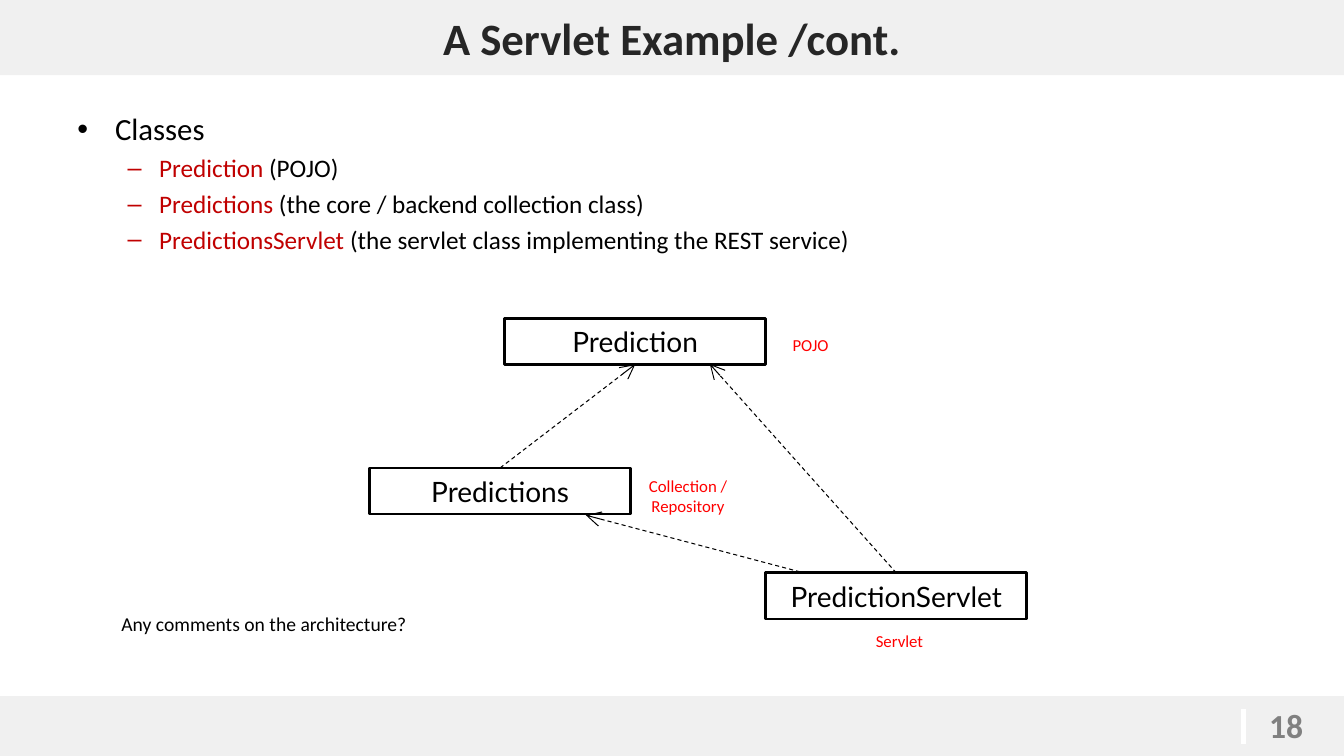
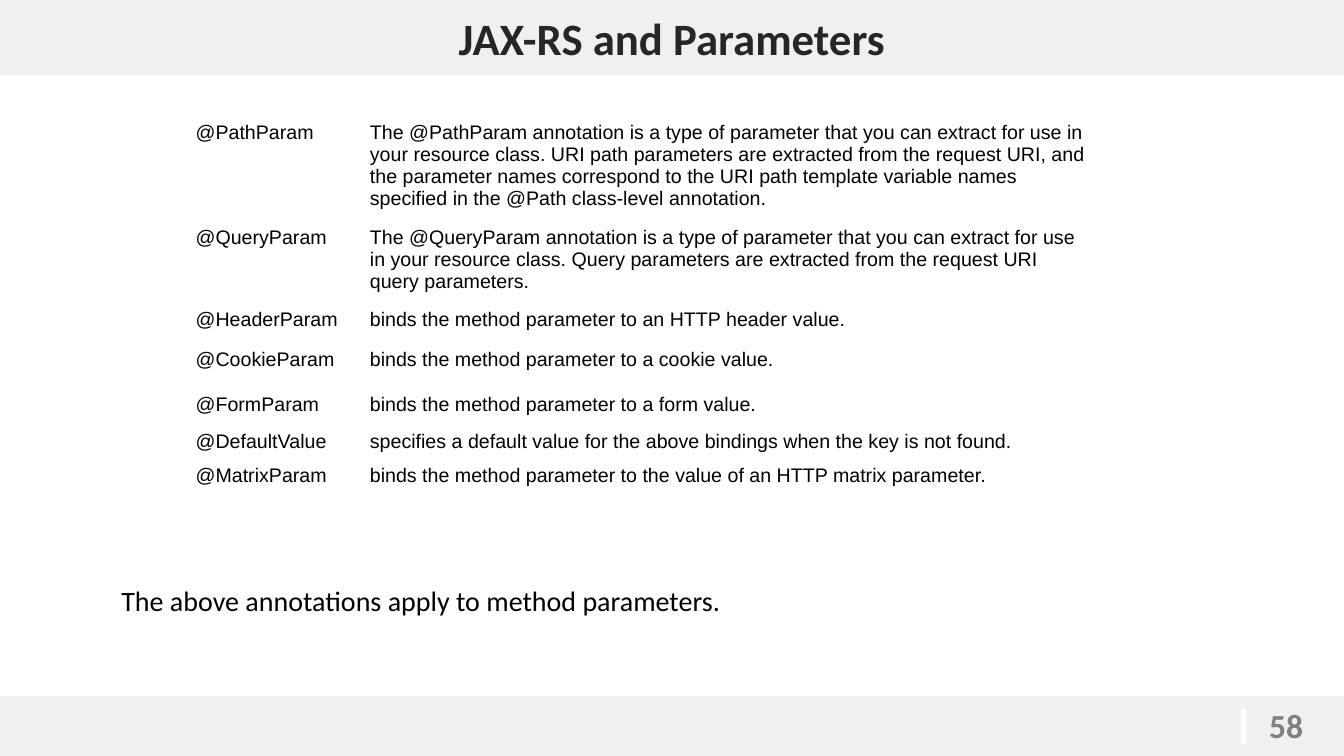
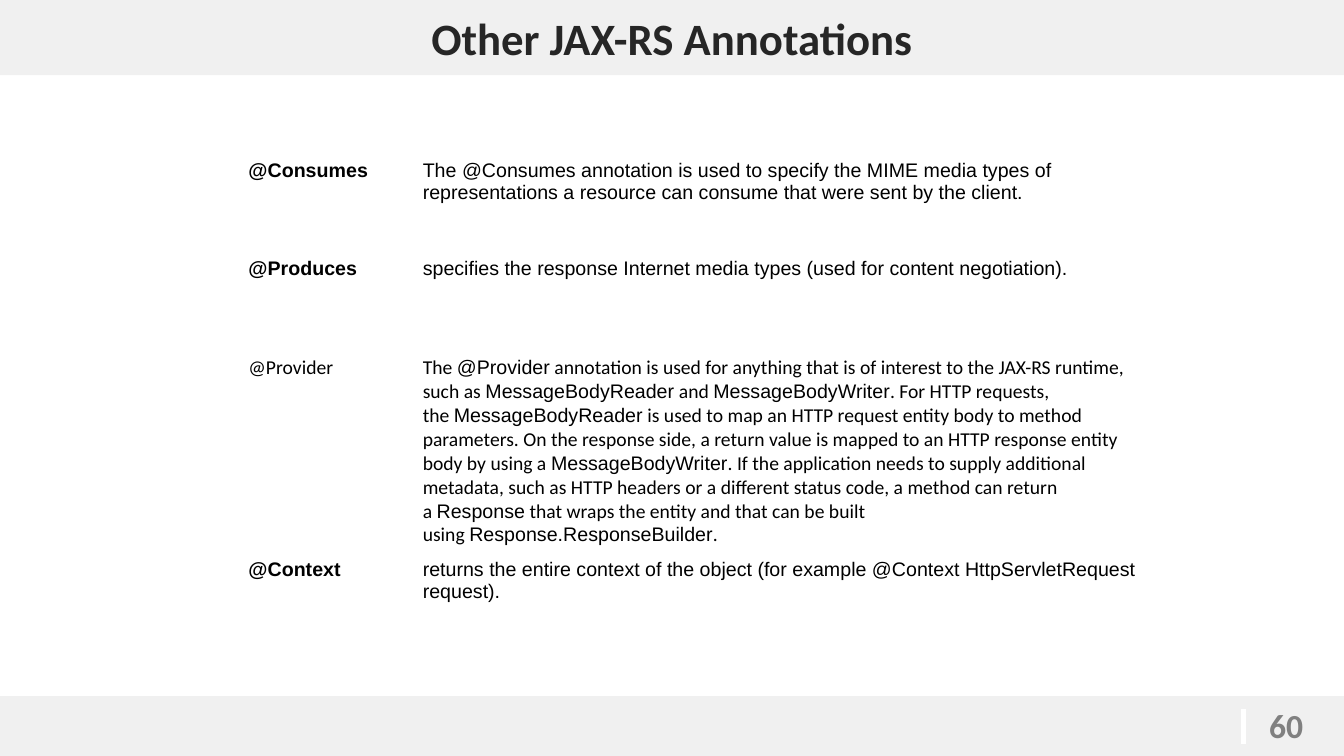
from dataclasses import dataclass

from lxml.etree import SubElement
from pptx import Presentation
from pptx.dml.color import RGBColor
from pptx.enum.dml import MSO_LINE
from pptx.enum.shapes import MSO_CONNECTOR, MSO_SHAPE
from pptx.enum.text import MSO_ANCHOR, MSO_AUTO_SIZE, PP_ALIGN
from pptx.oxml.ns import qn
from pptx.util import Pt


@dataclass(frozen=True)
class Theme:
    # colours
    band: str = "F0F0F0"
    head: str = "262626"
    ink: str = "000000"
    page: str = "808080"
    term: str = "C00000"
    tag: str = "FF0000"
    white: str = "FFFFFF"
    # fonts
    main: str = "Calibri"
    code: str = "Arial"
    node: str = "Lato"
    # type sizes
    title: int = 32
    num: int = 24
    item: int = 22
    sub: int = 18
    box: int = 20
    cell: int = 14
    label: int = 12


T = Theme()
WIDE, HIGH = 960, 540
BODY = (48, 77.75, 864, 404.5)
PANEL = (31, 73.5, 898, 406)

# Content: slide with classes
TERMS = [
    ("Prediction", " (POJO)"),
    ("Predictions", " (the core / backend collection class)"),
    ("PredictionsServlet", " (the servlet class implementing the REST service)"),
]
ASK = "Any comments on the architecture?"
BOX = (186.5, 33)
NODES = {
    "Prediction": (360.5, 227.25),
    "Predictions": (264, 334.25),
    "PredictionServlet": (547, 409.25),
}
# An end is a (node, site) pair or a free (x, y) point
ARROWS = [
    (("Predictions", 0), ("Prediction", 2)),
    (("PredictionServlet", 0), (507, 260)),
    ((571.5, 408.5), (418.5, 368)),
]
TAGS = [
    ("POJO", (547, 235.5, 64, 16)),
    ("Collection / Repository", (450, 336, 83, 27)),
    ("Servlet", (601, 447, 83, 16)),
]

# Content: tables, as (name, text, row height)
# Backticks enclose the code font, a tilde is a no-break space
COLS = (124.5, 521.5)
PARAMS = [
    ("@PathParam", "The~@PathParam~annotation is a type of parameter that you can extract "
     "for use in your resource class. URI path parameters are extracted from the request "
     "URI, and the parameter names correspond to the URI path template variable names "
     "specified in the~@Path~class-level annotation.", 71.5),
    ("@QueryParam", "The~@QueryParam~annotation is a type of parameter that you can extract "
     "for use in your resource class. Query parameters are extracted from the request URI "
     "query parameters.", 56.5),
    ("@HeaderParam", "binds the method parameter to an HTTP header value.", 28.5),
    ("@CookieParam", "binds the method parameter to a cookie value.", 32),
    ("@FormParam", "binds the method parameter to a form value.", 26.5),
    ("@DefaultValue", "specifies a default value for the above bindings when the key "
     "is not found.", 24.5),
    ("@MatrixParam", "binds the method parameter to the value of an HTTP matrix "
     "parameter.", 30),
]
APPLY = "The above annotations apply to method parameters."
OTHERS = [
    ("@Consumes", "The~@Consumes~annotation is used to specify the MIME media types of "
     "representations a resource can consume that were sent by the client.", 70.25),
    ("@Produces", "specifies the response Internet media types (used for content "
     "negotiation).", 70.25),
    ("@Provider", "The~`@Provider`~annotation is used for anything that is of interest to "
     "the JAX-RS runtime, such as~`MessageBodyReader`~and~`MessageBodyWriter`. For HTTP "
     "requests, the~`MessageBodyReader`~is used to map an HTTP request entity body to "
     "method parameters. On the response side, a return value is mapped to an HTTP "
     "response entity body by using a~`MessageBodyWriter`. If the application needs to "
     "supply additional metadata, such as HTTP headers or a different status code, a "
     "method can return a~`Response`~that wraps the entity and that can be built "
     "using~`Response.ResponseBuilder`.", 144.5),
    ("@Context", "returns the entire context of the object (for example @Context "
     "HttpServletRequest request).", 70.25),
]


# Helpers
def pts(*vals):
    return [Pt(v) for v in vals]


def rgb(code):
    return RGBColor.from_string(code)


def style(run, size, color=T.ink, font=T.main, bold=False):
    run.font.size, run.font.name, run.font.bold = Pt(size), font, bold
    run.font.color.rgb = rgb(color)


def write(par, text, *look, **more):
    run = par.add_run()
    run.text = text
    style(run, *look, **more)


def place(shape, area):
    shape.left, shape.top, shape.width, shape.height = pts(*area)


def paint(shape, color):
    shape.fill.solid()
    shape.fill.fore_color.rgb = rgb(color)


def rect(slide, area):
    shape = slide.shapes.add_shape(MSO_SHAPE.RECTANGLE, *pts(*area))
    shape.shadow.inherit = False
    return shape


def plate(slide, area, color):
    shape = rect(slide, area)
    paint(shape, color)
    shape.line.fill.background()
    return shape


def line(slide, start, end, color, width):
    link = slide.shapes.add_connector(MSO_CONNECTOR.STRAIGHT, *pts(*start, *end))
    link.line.color.rgb, link.line.width = rgb(color), Pt(width)
    SubElement(link.element.spPr, qn("a:effectLst"))
    return link


def label(slide, text, area, *look, align=PP_ALIGN.CENTER, **more):
    frame = slide.shapes.add_textbox(*pts(*area)).text_frame
    frame.word_wrap = True
    par = frame.paragraphs[0]
    par.alignment = align
    write(par, text, *look, **more)


# Shared frame: panel, title band, footer band, page number
def start(deck, layout, title, page):
    slide = deck.slides.add_slide(deck.slide_layouts[layout])
    panel = plate(slide, PANEL, T.white).element
    tint = next(panel.iter(qn("a:srgbClr")))
    SubElement(tint, qn("a:alpha"), val="84000")
    slide.shapes.title.element.addprevious(panel)
    head = slide.shapes.title
    place(head, (0, 0, WIDE, 53.75))
    paint(head, T.band)
    head.text_frame.text = title
    head.text_frame.auto_size = MSO_AUTO_SIZE.NONE
    style(head.text_frame.paragraphs[0].runs[0], T.title, T.head, bold=True)
    plate(slide, (0, 497.25, WIDE, 42.75), T.band)
    line(slide, (888.25, 506.25), (888.25, 531.5), T.white, 3)
    label(slide, str(page), (899.5, 500.25, 58, 36), T.num, T.page,
          align=PP_ALIGN.LEFT, bold=True)
    return slide


def body(slide, area):
    shape = slide.placeholders[1]
    place(shape, area)
    shape.text_frame.auto_size = MSO_AUTO_SIZE.NONE
    return shape.text_frame


def note(par, text, size):
    par.level = 1
    props = par._p.get_or_add_pPr()
    props.set("marL", str(Pt(31.5)))
    props.set("indent", "0")
    SubElement(props, qn("a:buNone"))
    write(par, text, size)


def grid(slide, rows, left, top, bold=False):
    high = sum(row[2] for row in rows)
    area = pts(left, top, sum(COLS), high)
    table = slide.shapes.add_table(len(rows), len(COLS), *area).table
    table.first_row = table.horz_banding = False
    for col, wide in zip(table.columns, COLS):
        col.width = Pt(wide)
    for row, (name, text, tall) in zip(table.rows, rows):
        row.height = Pt(tall)
        mixed = "`" in text
        base = T.main if mixed else T.code
        text = text.replace("~", chr(160))
        for cell, words, heavy in zip(row.cells, (name, text), (bold and not mixed, False)):
            cell.fill.background()
            cell.margin_left = cell.margin_right = Pt(4.5)
            cell.margin_top = cell.margin_bottom = Pt(4)
            par = cell.text_frame.paragraphs[0]
            for k, part in enumerate(words.split("`")):
                write(par, part, T.cell, font=T.code if k % 2 else base, bold=heavy)


# Class diagram
def diagram(slide):
    nodes = {}
    for name, spot in NODES.items():
        node = nodes[name] = rect(slide, spot + BOX)
        node.fill.background()
        node.line.color.rgb, node.line.width = rgb(T.ink), Pt(2)
        frame = node.text_frame
        frame.vertical_anchor = MSO_ANCHOR.MIDDLE
        frame.paragraphs[0].alignment = PP_ALIGN.CENTER
        write(frame.paragraphs[0], name, T.box, font=T.node)
    for ends in ARROWS:
        free = [(0, 0) if end[0] in nodes else end for end in ends]
        link = line(slide, *free, T.ink, 0.75)
        link.line.dash_style = MSO_LINE.DASH
        SubElement(link.line._get_or_add_ln(), qn("a:tailEnd"),
                   type="arrow", w="lg", len="lg")
        for end, join in zip(ends, (link.begin_connect, link.end_connect)):
            if end[0] in nodes:
                join(nodes[end[0]], end[1])
    for text, area in TAGS:
        label(slide, text, area, T.label, T.tag)


def classes(deck):
    slide = start(deck, 1, "A Servlet Example /cont.", 18)
    frame = body(slide, BODY)
    par = frame.paragraphs[0]
    par.line_spacing = 0.9
    write(par, "Classes", T.item)
    for term, rest in TERMS:
        par = frame.add_paragraph()
        par.level = 1
        par.space_before = Pt(3.9)
        write(par, term, T.sub, T.term)
        write(par, rest, T.sub)
    par = frame.add_paragraph()
    par.space_before = Pt(255.5)
    note(par, ASK, T.cell)
    diagram(slide)


def params(deck):
    slide = start(deck, 1, "JAX-RS and Parameters", 58)
    frame = body(slide, (BODY[0], 413.5, BODY[2], 34))
    note(frame.paragraphs[0], APPLY, T.box)
    grid(slide, PARAMS, 135.25, 82.75)


def others(deck):
    slide = start(deck, 5, "Other JAX-RS Annotations", 60)
    grid(slide, OTHERS, 173, 110, bold=True)


def main():
    deck = Presentation()
    deck.slide_width, deck.slide_height = pts(WIDE, HIGH)
    for build in (classes, params, others):
        build(deck)
    deck.save("out.pptx")


if __name__ == "__main__":
    main()
